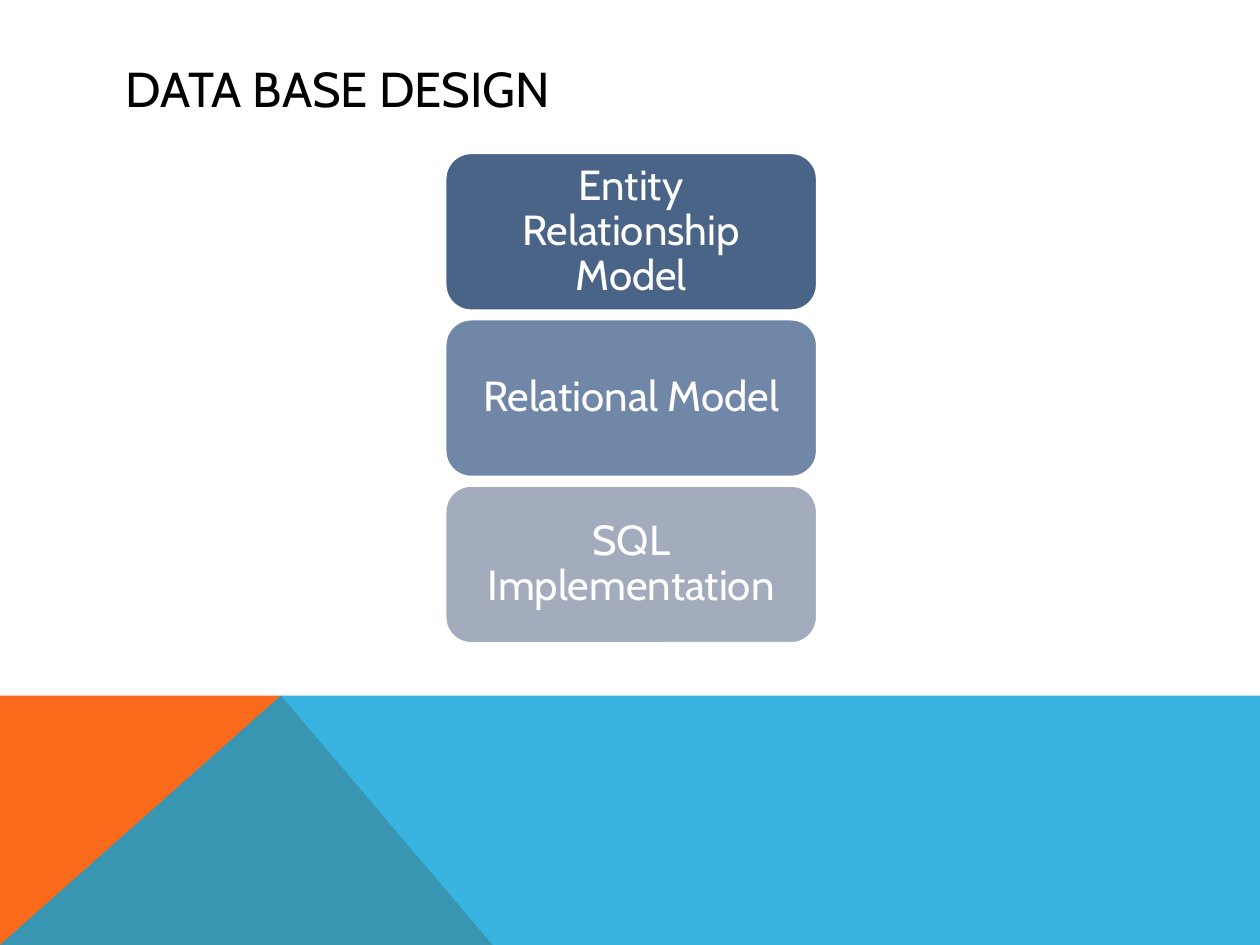
"""Build the data base design slide with three stacked stages."""
from lxml import etree
from pptx import Presentation
from pptx.dml.color import RGBColor
from pptx.enum.shapes import MSO_SHAPE
from pptx.enum.text import MSO_ANCHOR, PP_ALIGN
from pptx.oxml.ns import qn
from pptx.util import Inches, Pt

ROUNDED = MSO_SHAPE.ROUNDED_RECTANGLE
MIDDLE = MSO_ANCHOR.MIDDLE
LEFT, CENTER = PP_ALIGN.LEFT, PP_ALIGN.CENTER
COLORS = {
    "orange": "F96A1B",
    "blue": "08A1D9",
    "black": "000000",
    "white": "FFFFFF",
    "dark": "496486",
    "medium": "7187A7",
    "light": "A2ACBD",
}


def set_fill(shape, color):
    shape.shadow.inherit = False
    shape.fill.solid()
    shape.fill.fore_color.rgb = RGBColor.from_string(COLORS[color])


def write_text(shape, text, size, color, paragraph_format, margin):
    frame = shape.text_frame
    frame_format = {
        "word_wrap": True,
        "vertical_anchor": MIDDLE,
        "margin_left": Inches(margin),
        "margin_right": Inches(margin),
    }
    for name, value in frame_format.items():
        setattr(frame, name, value)
    paragraph = frame.paragraphs[0]
    for name, value in paragraph_format.items():
        setattr(paragraph, name, value)
    run = paragraph.add_run()
    run.text = text
    for name, value in {"name": "Cabin", "size": Pt(size)}.items():
        setattr(run.font, name, value)
    run.font.color.rgb = RGBColor.from_string(COLORS[color])


presentation = Presentation()
presentation.slide_width = Inches(10)
presentation.slide_height = Inches(7.5)
slide = presentation.slides.add_slide(presentation.slide_layouts[6])

bands = [
    ("orange", 100, [(0, 7.5), (0, 5.52), (2.23, 5.52), (3.91, 7.5)]),
    ("blue", 80, [(0, 7.5), (2.23, 5.52), (10, 5.52), (10, 7.5)]),
]
for color, opacity, corners in bands:
    points = [(Inches(x), Inches(y)) for x, y in corners]
    builder = slide.shapes.build_freeform(*points[0])
    builder.add_line_segments(points[1:], close=True)
    band = builder.convert_to_shape()
    set_fill(band, color)
    band.line.fill.background()
    if opacity < 100:
        fill_color = band.fill._xPr.find(qn("a:solidFill"))[0]
        etree.SubElement(fill_color, qn("a:alpha"), val=str(opacity * 1000))

title = slide.shapes.add_textbox(Inches(0.9), Inches(0.4), Inches(8.22), Inches(0.6))
write_text(title, "DATA BASE DESIGN", 28, "black", {"alignment": LEFT}, 0.1)

stages = [
    ("Entity Relationship Model", "dark"),
    ("Relational Model", "medium"),
    ("SQL Implementation", "light"),
]
stage_top, stage_step = 1.21, 1.32
for index, (label, color) in enumerate(stages):
    top = Inches(stage_top + index * stage_step)
    stage = slide.shapes.add_shape(ROUNDED, Inches(3.53), top, Inches(2.96), Inches(1.26))
    set_fill(stage, color)
    stage.line.color.rgb = RGBColor.from_string(COLORS["white"])
    stage.line.width = Pt(2)
    write_text(stage, label, 24, "white", {"alignment": CENTER, "line_spacing": 0.9}, 0.2)

presentation.save("out.pptx")
